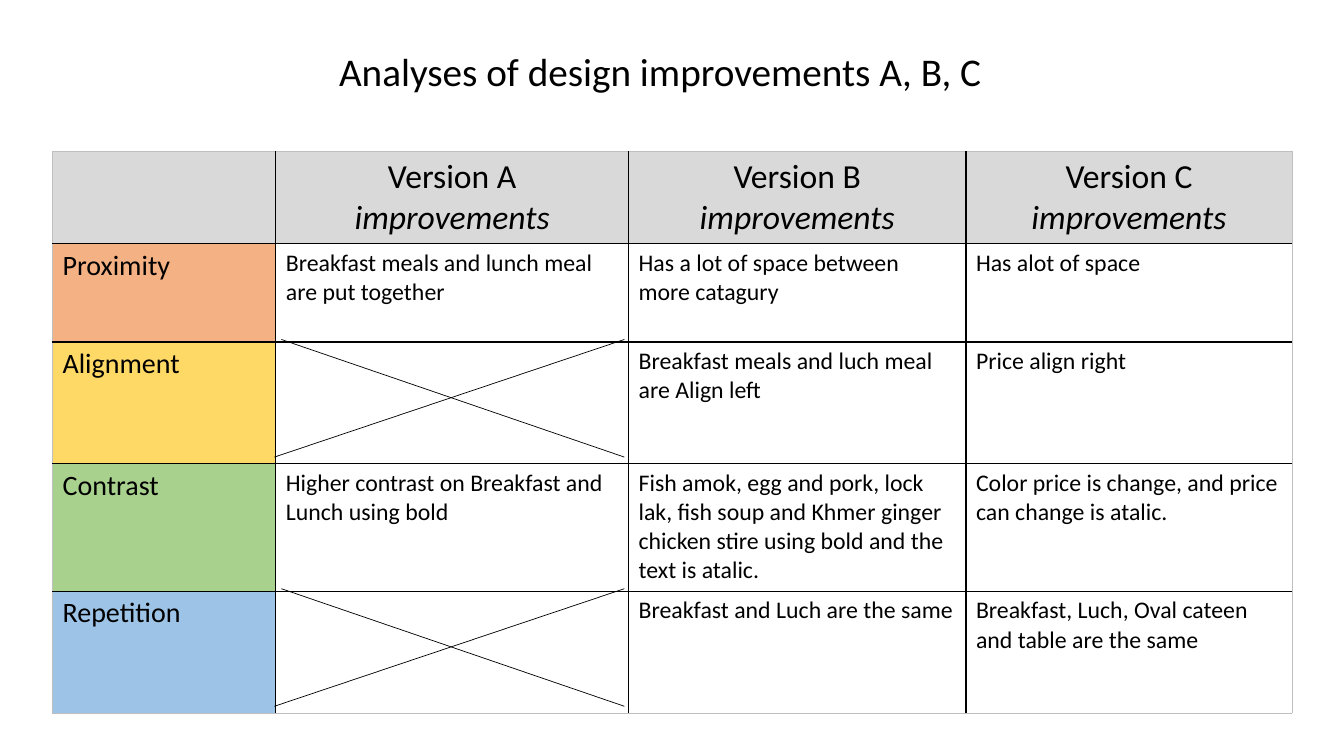
from lxml import etree
from pptx import Presentation
from pptx.dml.color import RGBColor
from pptx.enum.shapes import MSO_CONNECTOR
from pptx.enum.text import MSO_ANCHOR, PP_ALIGN
from pptx.oxml.ns import qn
from pptx.util import Pt

STRAIGHT = MSO_CONNECTOR.STRAIGHT
TOP = MSO_ANCHOR.TOP
CENTER, LEFT = PP_ALIGN.CENTER, PP_ALIGN.LEFT

TITLE = "Analyses of design improvements A, B, C"
VERSIONS = ["Version A", "Version B", "Version C"]
SUBHEAD = "improvements"
# principle, fill name, one finding per version (None = crossed out)
PRINCIPLES = [
    ("Proximity", "orange", [
        "Breakfast meals and lunch meal are put together",
        "Has a lot of space between more catagury",
        "Has alot of space"]),
    ("Alignment", "yellow", [
        None,
        "Breakfast meals and luch meal are Align left",
        "Price align right"]),
    ("Contrast", "green", [
        "Higher contrast on Breakfast and Lunch using bold",
        "Fish amok, egg and pork, lock lak, fish soup and Khmer ginger "
        "chicken stire using bold and the text is atalic.",
        "Color price is change, and price can change is atalic."]),
    ("Repetition", "blue", [
        None,
        "Breakfast and Luch are the same",
        "Breakfast, Luch, Oval cateen and table are the same"]),
]

COLORS = {
    "text": "000000", "grid": "000000", "frame": "BFBFBF", "header": "D9D9D9",
    "orange": "F4B183", "yellow": "FFD966", "green": "A9D18E", "blue": "9DC3E6",
}
FONT = "Calibri"
TABLE_LEFT, TABLE_TOP = 37.5, 108
COL_WIDTHS = [159.5, 252, 241, 233]
ROW_HEIGHTS = [65.5, 70.5, 87, 91, 87]
CROSS_HEIGHT, CROSS_RISE = 84, 1.5


def rgb(name):
    return RGBColor.from_string(COLORS[name])


def add_text(p, text, size, align=LEFT, italic=False):
    p.alignment = align
    r = p.add_run()
    r.text = text
    style = {"name": FONT, "size": Pt(size), "italic": italic, "bold": False}
    for key, value in style.items():
        setattr(r.font, key, value)
    r.font.color.rgb = rgb("text")


def set_borders(cell, row, col):
    """Black lines inside the table, a pale frame around it."""
    outer = {"L": col == 0, "R": col == len(COL_WIDTHS) - 1,
             "T": row == 0, "B": row == len(ROW_HEIGHTS) - 1}
    tc_pr = cell._tc.get_or_add_tcPr()
    for i, (side, is_outer) in enumerate(outer.items()):
        ln = etree.Element(qn(f"a:ln{side}"), w=str(Pt(0.5 if is_outer else 1)))
        fill = etree.SubElement(ln, qn("a:solidFill"))
        color = COLORS["frame" if is_outer else "grid"]
        etree.SubElement(fill, qn("a:srgbClr"), val=color)
        tc_pr.insert(i, ln)


def add_line(slide, x1, y1, x2, y2):
    line = slide.shapes.add_connector(STRAIGHT, Pt(x1), Pt(y1), Pt(x2), Pt(y2))
    line.line.color.rgb = rgb("grid")
    line.line.width = Pt(0.5)
    etree.SubElement(line._element.spPr, qn("a:effectLst"))


def add_cross(slide, row, col):
    x = TABLE_LEFT + sum(COL_WIDTHS[:col])
    top = TABLE_TOP + sum(ROW_HEIGHTS[:row]) - CROSS_RISE
    left, right, bottom = x - 1, x + 249, top + CROSS_HEIGHT
    add_line(slide, left, bottom, right, top)
    add_line(slide, left + 5, top, right, bottom)


def add_title(slide):
    title = slide.shapes.title
    box = {"left": Pt(232.5), "top": Pt(30.5), "width": Pt(478), "height": Pt(41)}
    for key, value in box.items():
        setattr(title, key, value)
    tf = title.text_frame
    tf.word_wrap = False
    tf.vertical_anchor = TOP
    p = tf.paragraphs[0]
    p.line_spacing = 1.0
    add_text(p, TITLE, 28, CENTER)


def add_analysis_table(slide):
    table = slide.shapes.add_table(
        len(ROW_HEIGHTS), len(COL_WIDTHS), Pt(TABLE_LEFT), Pt(TABLE_TOP),
        Pt(sum(COL_WIDTHS)), Pt(sum(ROW_HEIGHTS))).table
    for column, width in zip(table.columns, COL_WIDTHS):
        column.width = Pt(width)
    for row, height in zip(table.rows, ROW_HEIGHTS):
        row.height = Pt(height)

    fills = ["header"] + [fill for _, fill, _ in PRINCIPLES]
    for r, fill in enumerate(fills):
        for c in range(len(COL_WIDTHS)):
            cell = table.cell(r, c)
            if r == 0 or c == 0:
                cell.fill.solid()
                cell.fill.fore_color.rgb = rgb(fill)
            else:
                cell.fill.background()
            set_borders(cell, r, c)

    for c, version in enumerate(VERSIONS, 1):
        tf = table.cell(0, c).text_frame
        add_text(tf.paragraphs[0], version, 24, CENTER)
        add_text(tf.add_paragraph(), SUBHEAD, 24, CENTER, italic=True)

    for r, (principle, _, findings) in enumerate(PRINCIPLES, 1):
        add_text(table.cell(r, 0).text_frame.paragraphs[0], principle, 20)
        for c, finding in enumerate(findings, 1):
            if finding:
                add_text(table.cell(r, c).text_frame.paragraphs[0], finding, 17)
            else:
                add_cross(slide, r, c)


def main():
    prs = Presentation()
    prs.slide_width, prs.slide_height = Pt(960), Pt(540)
    slide = prs.slides.add_slide(prs.slide_layouts[5])
    add_title(slide)
    add_analysis_table(slide)
    prs.save("out.pptx")


if __name__ == "__main__":
    main()
